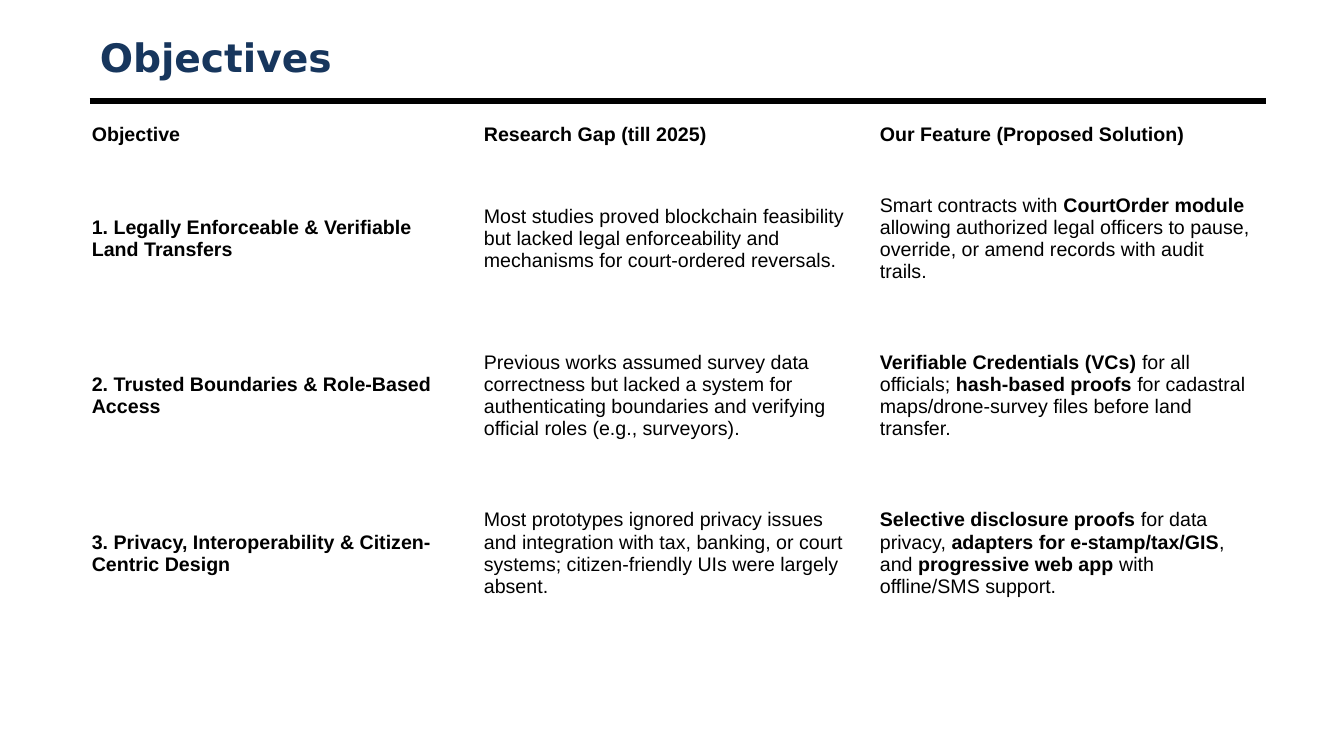
from lxml.etree import SubElement
from pptx import Presentation
from pptx.dml.color import RGBColor
from pptx.enum.shapes import MSO_CONNECTOR
from pptx.enum.text import MSO_ANCHOR, PP_ALIGN
from pptx.oxml.ns import qn
from pptx.util import Cm, Pt

NAVY = RGBColor(0x17, 0x36, 0x5D)
BLACK = RGBColor(0, 0, 0)

TITLE = "Objectives"
REGULAR, BOLD = False, True
ROWS = [
    [
        [("Objective", BOLD)],
        [("Research Gap (till 2025)", BOLD)],
        [("Our Feature (Proposed Solution)", BOLD)],
    ],
    [
        [("1. Legally Enforceable & Verifiable Land Transfers", BOLD)],
        [("Most studies proved blockchain feasibility but lacked legal enforceability "
          "and mechanisms for court-ordered reversals.", REGULAR)],
        [("Smart contracts with ", REGULAR),
         ("CourtOrder module", BOLD),
         (" allowing authorized legal officers to pause, override, or amend records "
          "with audit trails.", REGULAR)],
    ],
    [
        [("2. Trusted Boundaries & Role-Based Access", BOLD)],
        [("Previous works assumed survey data correctness but lacked a system for "
          "authenticating boundaries and verifying official roles (e.g., surveyors).", REGULAR)],
        [("Verifiable Credentials (VCs)", BOLD),
         (" for all officials; ", REGULAR),
         ("hash-based proofs", BOLD),
         (" for cadastral maps/drone-survey files before land transfer.", REGULAR)],
    ],
    [
        [("3. Privacy, Interoperability & Citizen-Centric Design", BOLD)],
        [("Most prototypes ignored privacy issues and integration with tax, banking, "
          "or court systems; citizen-friendly UIs were largely absent.", REGULAR)],
        [("Selective disclosure proofs", BOLD),
         (" for data privacy, ", REGULAR),
         ("adapters for e-stamp/tax/GIS", BOLD),
         (", and ", REGULAR),
         ("progressive web app", BOLD),
         (" with offline/SMS support.", REGULAR)],
    ],
]

LEFT, WIDTH = Cm(2.26), Cm(29.64)
RULE_TOP = Cm(2.54)
COL_WIDTHS = [Cm(9.88), Cm(9.98), Cm(9.98)]
ROW_HEIGHTS = [Cm(1.27)] + [Cm(3.96)] * (len(ROWS) - 1)


def add_run(p, text, font, size, color, bold):
    r = p.add_run()
    r.text = text
    r.font.name = font
    r.font.size = Pt(size)
    r.font.color.rgb = color
    r.font.bold = bold


def add_title(s):
    title = s.shapes.title
    title.left, title.top, title.width, title.height = LEFT, Cm(0.76), WIDTH, Cm(1.35)
    tf = title.text_frame
    tf.vertical_anchor = MSO_ANCHOR.MIDDLE
    p = tf.paragraphs[0]
    p.alignment = PP_ALIGN.LEFT
    add_run(p, TITLE, "DejaVu Sans", 28, NAVY, True)


def add_rule(s):
    rule = s.shapes.add_connector(
        MSO_CONNECTOR.STRAIGHT, LEFT, RULE_TOP, LEFT + WIDTH, RULE_TOP)
    rule.line.color.rgb = BLACK
    rule.line.width = Pt(4.5)
    SubElement(rule._element.spPr, qn("a:effectLst"))


def add_objectives(s):
    table = s.shapes.add_table(
        len(ROWS), len(COL_WIDTHS), Cm(2.06), Cm(2.77),
        sum(COL_WIDTHS), sum(ROW_HEIGHTS)).table
    table.first_row = False
    table.horz_banding = False
    for col, width in zip(table.columns, COL_WIDTHS):
        col.width = width
    for row, height, texts in zip(table.rows, ROW_HEIGHTS, ROWS):
        row.height = height
        for cell, runs in zip(row.cells, texts):
            cell.fill.background()
            cell.vertical_anchor = MSO_ANCHOR.MIDDLE
            p = cell.text_frame.paragraphs[0]
            for text, bold in runs:
                add_run(p, text, "Arial", 14, BLACK, bold)


def main():
    prs = Presentation()
    prs.slide_width, prs.slide_height = Cm(33.87), Cm(19.05)
    s = prs.slides.add_slide(prs.slide_layouts[5])
    add_rule(s)
    add_title(s)
    add_objectives(s)
    prs.save("out.pptx")


if __name__ == "__main__":
    main()
